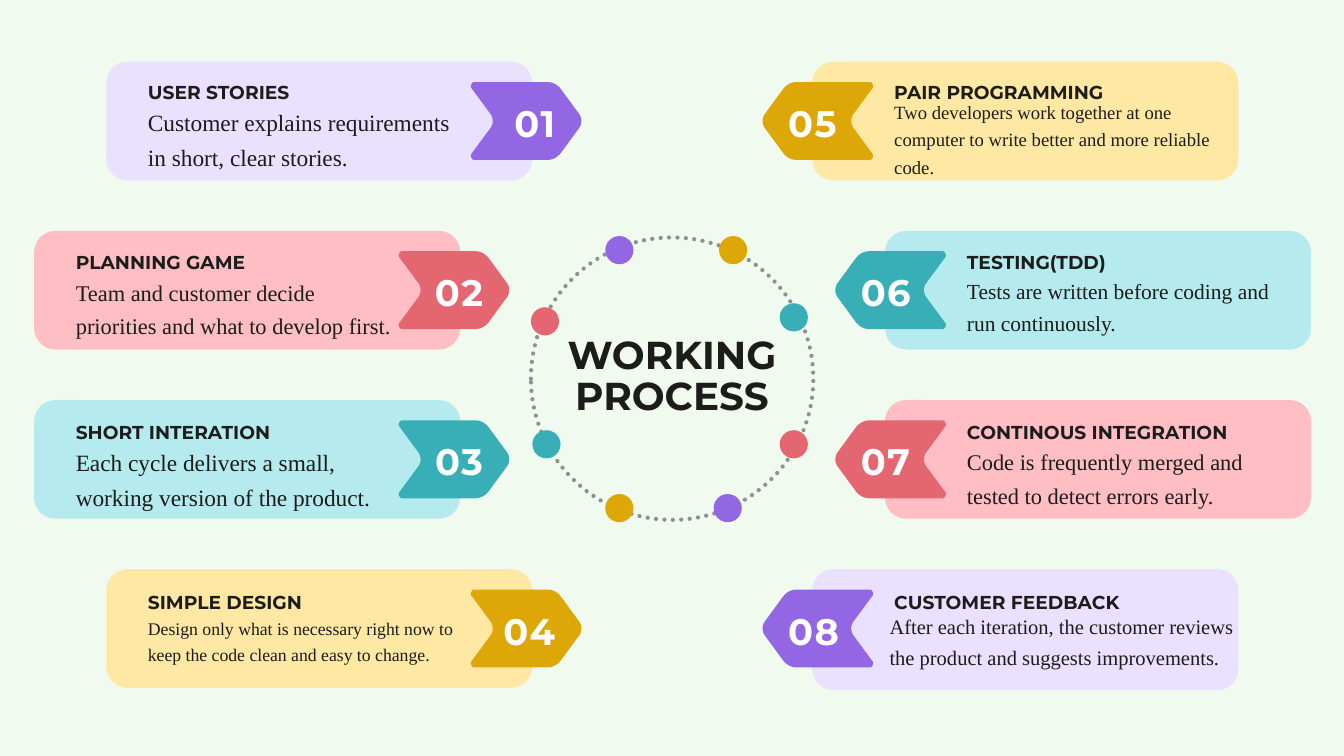
from pptx import Presentation
from pptx.dml.color import RGBColor
from pptx.enum.dml import MSO_LINE
from pptx.enum.shapes import MSO_SHAPE as Shape
from pptx.enum.text import MSO_AUTO_SIZE as AutoSize, PP_ALIGN as Align
from pptx.oxml.ns import qn
from pptx.util import Pt

INK, WHITE, PAPER, RING = "1C1C1A", "FFFFFF", "F1FAEE", "8D9193"
HEADING_FONT, BODY_FONT = "Montserrat", "Times New Roman"
THEMES = {
    "purple": ("EAE0FF", "9366E4"),
    "red": ("FFBEC4", "E46671"),
    "teal": ("B5EBEF", "38AEB6"),
    "gold": ("FFE8A3", "DDA707"),
}

# theme, heading, body, body size, body top, body width
LEFT_STEPS = [
    ("purple", "USER STORIES", "Customer explains requirements in short, clear stories.", 25, 108, 330),
    ("red", "PLANNING GAME", "Team and customer decide priorities and what to develop first.", 24, 291.6, 342),
    ("teal", "SHORT INTERATION", "Each cycle delivers a small, working version of the product.", 25, 472.3, 330),
    ("gold", "SIMPLE DESIGN", "Design only what is necessary right now to keep the code clean and easy to change.",
     19, 655.9, 330),
]
RIGHT_STEPS = [
    ("gold", "PAIR PROGRAMMING",
     "Two developers work together at one computer to write better and more reliable code.", 20, 101.5, 375),
    ("teal", "TESTING(TDD)", "Tests are written before coding and run continuously.", 23, 290.9, 330),
    ("red", "CONTINOUS INTEGRATION", "Code is frequently merged and tested to detect errors early.", 24, 473, 330),
    ("purple", "CUSTOMER FEEDBACK",
     "After each iteration, the customer reviews the product and suggests improvements.", 22, 651.6, 380),
]
HEADING_TOPS = [82.1, 265, 446.4, 629.3]
CARD_WIDTH, CARD_HEIGHT, CARD_RADIUS = 456.5, 127.2, 22.7
CARD_HEIGHTS = {8: 129.6}
BODY_SHIFTS = {8: -5}
FIRST_TOP, ROW_STEP = 66.1, 181.25

# card lefts for outer and inner rows, then offsets from the card's left edge
SIDES = [
    {"steps": LEFT_STEPS, "lefts": (113.9, 36.6), "tag": 390.3, "number": 408.2, "text": 44.6,
     "align": Align.RIGHT, "mirrored": False},
    {"steps": RIGHT_STEPS, "lefts": (870.3, 948.2), "tag": -53.2, "number": -25.9, "text": 87.8,
     "align": Align.LEFT, "mirrored": True},
]

TAG_WIDTH, TAG_HEIGHT = 118.7, 83.5
TAG_UPPER = [
    [(1.4, 7.2), (0, 5.8), (0, 4.3), (0.7, 2.9)],
    [(0.7, 2.9), (1.4, 0.7), (2.9, 0), (4.3, 0)],
    [(82, 0), (87.8, 0), (92.9, 2.7), (96.5, 7.2)],
]
TAG_TIP = [(116.6, 34.6), (119.4, 38.9), (119.4, 44.6), (116.6, 48.9)]
TAG_NOTCH = [(21.6, 48.9), (24.5, 44.6), (24.5, 38.9), (21.6, 34.6)]

RING_LEFT, RING_TOP, RING_SIZE, DOT_SIZE = 568.8, 254.4, 302.6, 30.2
DOTS = [
    ("purple", 648.5, 252.9), ("gold", 770.4, 252.9), ("gold", 648.5, 529.3), ("teal", 570.4, 460.9),
    ("red", 835.4, 460.9), ("red", 568.8, 329.2), ("teal", 835.4, 324.9), ("purple", 764.6, 529.3),
]


def color(value):
    return RGBColor.from_string(value)


def paint(shape, fill):
    shape.shadow.inherit = False
    shape.fill.solid()
    shape.fill.fore_color.rgb = color(fill)
    shape.line.fill.background()


def add_text(page, text, left, top, width, height, size, leading, font,
             bold=False, ink=INK, align=Align.LEFT, spacing=0):
    box = page.shapes.add_textbox(Pt(left), Pt(top), Pt(width), Pt(height))
    frame = box.text_frame
    frame.word_wrap = True
    frame.auto_size = AutoSize.SHAPE_TO_FIT_TEXT
    frame.margin_left = frame.margin_right = frame.margin_top = frame.margin_bottom = 0
    para = frame.paragraphs[0]
    para.alignment = align
    para.line_spacing = Pt(leading)
    span = para.add_run()
    span.text = text
    span.font.name = font
    span.font.size = Pt(size)
    span.font.bold = bold
    span.font.color.rgb = color(ink)
    if spacing:
        span.font._element.set("spc", str(round(spacing * 100)))


def curve_points(curve, parts=8):
    for part in range(parts + 1):
        t = part / parts
        weights = ((1 - t) ** 3, 3 * t * (1 - t) ** 2, 3 * t * t * (1 - t), t ** 3)
        yield tuple(sum(w * point[axis] for w, point in zip(weights, curve)) for axis in (0, 1))


def add_tag(page, left, top, fill, mirrored):
    lower = [[(x, TAG_HEIGHT - y) for x, y in reversed(curve)] for curve in reversed(TAG_UPPER)]
    outline = [point for curve in [*TAG_UPPER, TAG_TIP, *lower, TAG_NOTCH] for point in curve_points(curve)]
    corners = [(Pt(left + (TAG_WIDTH - x if mirrored else x)), Pt(top + y)) for x, y in outline]
    builder = page.shapes.build_freeform(*corners[0])
    builder.add_line_segments(corners[1:], close=True)
    paint(builder.convert_to_shape(), fill)


def add_step(page, side, row, number):
    theme, heading, body, size, body_top, body_width = side["steps"][row]
    pale, strong = THEMES[theme]
    left = side["lefts"][row in (1, 2)]
    top = FIRST_TOP + row * ROW_STEP
    height = CARD_HEIGHTS.get(number, CARD_HEIGHT)
    card = page.shapes.add_shape(Shape.ROUNDED_RECTANGLE, Pt(left), Pt(top), Pt(CARD_WIDTH), Pt(height))
    card.adjustments[0] = CARD_RADIUS / height
    paint(card, pale)
    add_tag(page, left + side["tag"], top + 21.8, strong, side["mirrored"])
    add_text(page, f"{number:02}", left + side["number"], top + 34, 72.7, 52.6, 39.5, 55.3,
             HEADING_FONT, True, WHITE, side["align"], 1.6)
    text_left = left + side["text"]
    add_text(page, heading, text_left, HEADING_TOPS[row], 330, 26, 20, 28, HEADING_FONT, True)
    add_text(page, body, text_left + BODY_SHIFTS.get(number, 0), body_top, body_width, size * 3,
             size, size * 1.5, BODY_FONT)


def add_ring(page):
    ring = page.shapes.add_shape(Shape.OVAL, Pt(RING_LEFT), Pt(RING_TOP), Pt(RING_SIZE), Pt(RING_SIZE))
    ring.shadow.inherit = False
    ring.fill.background()
    ring.line.color.rgb = color(RING)
    ring.line.width = Pt(4.5)
    ring.line.dash_style = MSO_LINE.ROUND_DOT
    ring._element.spPr.find(qn("a:ln")).set("cap", "rnd")
    for theme, left, top in DOTS:
        dot = page.shapes.add_shape(Shape.OVAL, Pt(left), Pt(top), Pt(DOT_SIZE), Pt(DOT_SIZE))
        paint(dot, THEMES[theme][1])


def main():
    deck = Presentation()
    deck.slide_width, deck.slide_height = Pt(1440), Pt(810)
    page = deck.slides.add_slide(deck.slide_layouts[6])
    page.background.fill.solid()
    page.background.fill.fore_color.rgb = color(PAPER)
    for column, side in enumerate(SIDES):
        for row in range(len(side["steps"])):
            add_step(page, side, row, column * len(LEFT_STEPS) + row + 1)
    add_ring(page)
    add_text(page, "WORKING PROCESS", 604.8, 360, 230.4, 88.6, 41.7, 44.2, HEADING_FONT, True, align=Align.CENTER)
    deck.save("out.pptx")


if __name__ == "__main__":
    main()
